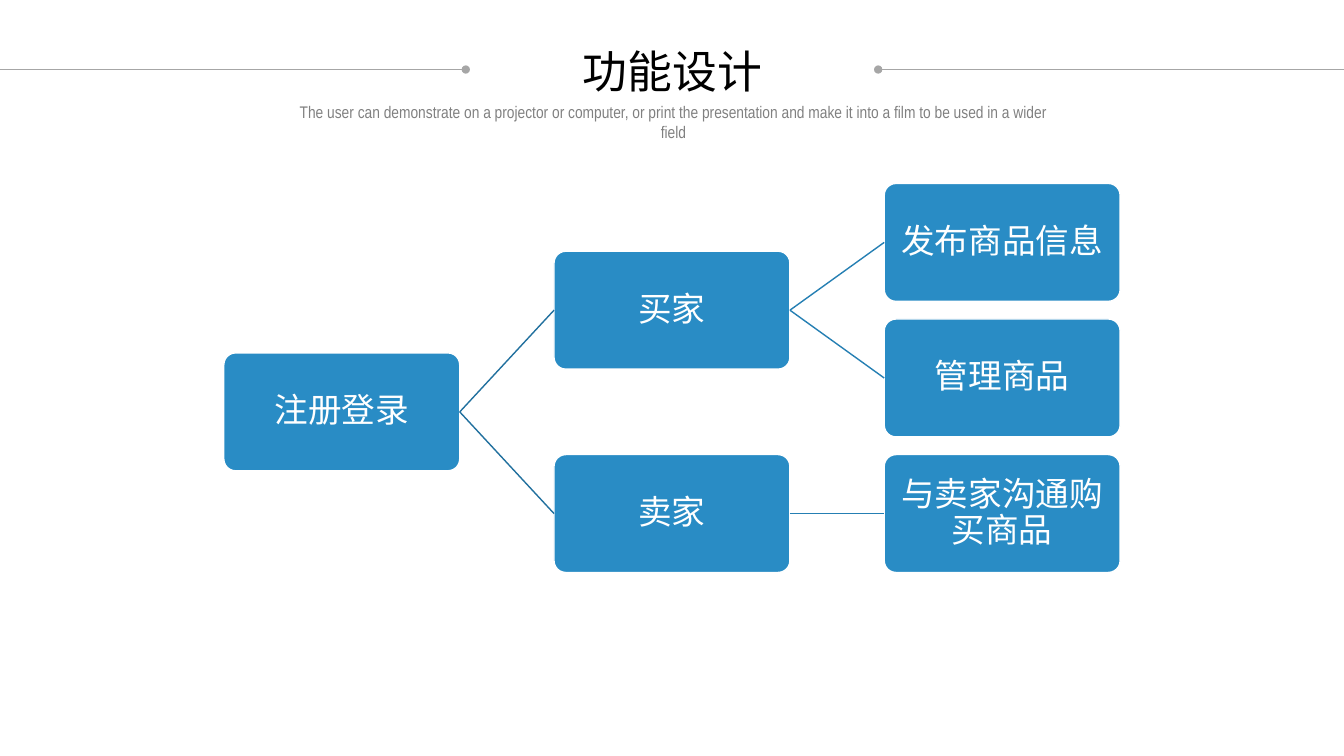
"""Build the function design slide with a tree of linked boxes."""
import pptx
import pptx.dml.color
import pptx.enum.shapes
import pptx.enum.text
import pptx.oxml
import pptx.oxml.ns
import pptx.util

Inches, Pt = pptx.util.Inches, pptx.util.Pt
CENTER = pptx.enum.text.PP_ALIGN.CENTER
MIDDLE = pptx.enum.text.MSO_ANCHOR.MIDDLE
AUTO_GROW = pptx.enum.text.MSO_AUTO_SIZE.SHAPE_TO_FIT_TEXT

BOX_W, BOX_H = 2.34, 1.17
TREE_LEFT, TREE_TOP = 2.22, 1.82
COLUMN_STEP, ROW_STEP = 3.275, 1.345
RIGHT_SITE, LEFT_SITE = 3, 1
LINK_COLORS = ["21709E", "257FB3"]
INSETS = {f"margin_{side}": Inches(0.02) for side in ("left", "top", "right", "bottom")}
BOX_FRAME = {"word_wrap": True, "vertical_anchor": MIDDLE, **INSETS}

TREE = ("注册登录", [
    ("买家", [("发布商品信息", []), ("管理商品", [])]),
    ("卖家", [("与卖家沟通购买商品", [])]),
])


def rgb(value):
    return pptx.dml.color.RGBColor.from_string(value)


def apply(target, values):
    for name, value in values.items():
        setattr(target, name, value)


def write(s, text, size, font, color, frame, paragraph=None):
    tf = s.text_frame
    apply(tf, frame)
    p = tf.paragraphs[0]
    apply(p, {"alignment": CENTER, **(paragraph or {})})
    r = p.add_run()
    r.text = text
    apply(r.font, {"size": Pt(size), "name": font})
    r.font.color.rgb = rgb(color)


def add_text(slide, text, box, size, color, frame):
    s = slide.shapes.add_textbox(*map(Inches, box))
    write(s, text, size, "Arial Narrow", color, frame)


def add_line(slide, start, end, color, width, oval=None):
    s = slide.shapes.add_connector(
        pptx.enum.shapes.MSO_CONNECTOR.STRAIGHT, *map(Inches, start + end))
    s.line.color.rgb = rgb(color)
    s.line.width = Pt(width)
    props = s.element.spPr
    if oval:
        ln = props.find(pptx.oxml.ns.qn("a:ln"))
        ln.append(pptx.oxml.parse_xml(
            f'<a:{oval} {pptx.oxml.ns.nsdecls("a")} type="oval"/>'))
    props.append(pptx.oxml.parse_xml(f'<a:effectLst {pptx.oxml.ns.nsdecls("a")}/>'))
    return s


def add_box(slide, text, left, top):
    s = slide.shapes.add_shape(
        pptx.enum.shapes.MSO_SHAPE.ROUNDED_RECTANGLE,
        *map(Inches, (left, top, BOX_W, BOX_H)))
    s.adjustments[0] = 0.1
    s.shadow.inherit = False
    s.fill.solid()
    s.fill.fore_color.rgb = rgb("298CC5")
    s.line.color.rgb = rgb("FFFFFF")
    s.line.width = Pt(1)
    write(s, text, 24, "Arial", "FFFFFF", BOX_FRAME, {"line_spacing": 0.9})
    return s


def add_tree(slide, node, level=0, row=0):
    """Draw a branch and return its box, its row and the next free row."""
    text, children = node
    boxes, rows, free = [], [], row
    for child in children:
        box, child_row, free = add_tree(slide, child, level + 1, free)
        boxes.append(box)
        rows.append(child_row)
    if rows:
        row = sum(rows) / len(rows)
    else:
        free = row + 1
    s = add_box(slide, text, TREE_LEFT + level * COLUMN_STEP, TREE_TOP + row * ROW_STEP)
    for box in boxes:
        link = add_line(slide, (0, 0), (0, 0), LINK_COLORS[level], 1)
        link.begin_connect(s, RIGHT_SITE)
        link.end_connect(box, LEFT_SITE)
    return s, row, free


def main():
    prs = pptx.Presentation()
    apply(prs, {"slide_width": Inches(13.33), "slide_height": Inches(7.5)})
    slide = prs.slides.add_slide(prs.slide_layouts[6])
    add_line(slide, (0, 0.69), (4.62, 0.69), "A6A6A6", 0.5, "tailEnd")
    add_line(slide, (8.71, 0.69), (13.33, 0.69), "A6A6A6", 0.5, "headEnd")
    add_text(slide, "功能设计", (5.67, 0.38, 2, 0.64), 32, "000000",
             {"word_wrap": False, "auto_size": AUTO_GROW})
    add_text(slide, "The user can demonstrate on a projector or computer, or print the "
             "presentation and make it into a film to be used in a wider field",
             (2.75, 0.96, 7.86, 0.3), 12, "808080",
             {"word_wrap": True, "auto_size": AUTO_GROW})
    add_tree(slide, TREE)
    prs.save("out.pptx")


if __name__ == "__main__":
    main()
